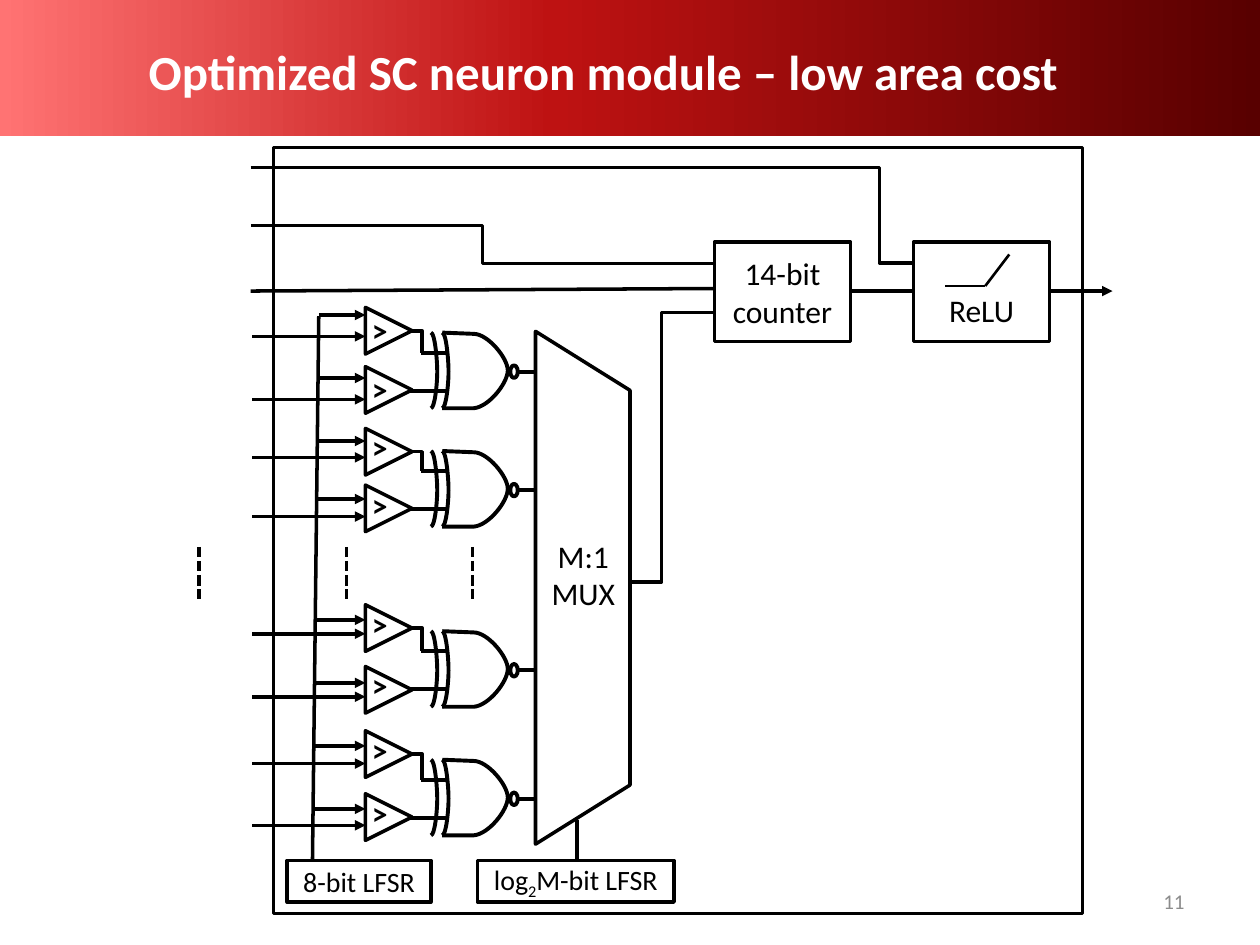
import pptx
import pptx.util
import pptx.dml.color
import pptx.enum.dml
import pptx.enum.shapes
import pptx.enum.text
import copy
import lxml.etree
import pptx.oxml.ns

INK = {"black": "000000", "white": "FFFFFF", "gray": "8C8C8C"}
FADE = [(0, "FF7373"), (0.44, "BE1212"), (1, "580000")]
TITLE = "Optimized SC neuron module – low area cost"
BOXES = [
    ("log_2_M-bit LFSR", (3.79, 6.83, 1.56, 0.33), 16, "MIDDLE"),
    ("8-bit LFSR", (2.28, 6.83, 1.14, 0.33), 16, "MIDDLE"),
    ("14-bit counter", (5.67, 1.92, 1.08, 0.79), 18, "MIDDLE"),
    ("ReLU", (7.25, 1.92, 1.08, 0.79), 18, "BOTTOM"),
]
CELLS = [
    {"gate": 2.64, "pair": [(2.44, 2.5, 2.67, 0.02), (2.91, 3.0, 3.17, 0.02)]},
    {"gate": 3.58, "pair": [(3.4, 3.5, 3.63, 0.05), (3.85, 3.96, 4.1, 0.04)]},
    {"gate": 5.01, "pair": [(4.8, 4.92, 5.03, 0.05), (5.29, 5.42, 5.53, 0.05)]},
    {"gate": 6.03, "pair": [(5.8, 5.92, 6.06, 0.05), (6.3, 6.42, 6.55, 0.05)]},
]
LINES = [
    ((4.58, 6.51), (4.58, 6.83), {}),
    ((5.67, 2.29), (1.99, 2.31), {}),
    ((6.75, 2.31), (7.25, 2.31), {}),
    ((8.33, 2.31), (8.83, 2.31), {"arrow": True}),
    ((7.5, 2.27), (7.82, 2.27), {"wide": 1.5}),
    ((7.82, 2.27), (8.01, 2.02), {"wide": 1.5}),
    ((1.99, 1.79), (5.67, 2.09), {"bend": [50]}),
    ((1.99, 1.33), (7.25, 2.09), {"bend": [94.9]}),
    ((5, 4.62), (5.67, 2.48), {"bend": [37.5, 49.6, 37.4]}),
]
DOTS = [1.58, 2.75, 3.75]
BUS = ((2.48, 6.83), (2.53, 2.51))
BODY = [(0, 0), (0.25, 0.01), (0.36, 0.01), (0.52, 0.2), (0.52, 0.3),
        (0.52, 0.4), (0.37, 0.59), (0.25, 0.6), (0, 0.6)]
ARC = [(0, 0.6), (0.03, 0.6), (0.05, 0.41), (0.05, 0.31),
       (0.05, 0.21), (0.03, 0), (0, 0)]
INPUT, COMP, SIDE, GATE = 2, 2.9, 0.37, 3.51

inch = pptx.util.Inches
kinds = pptx.enum.shapes.MSO_SHAPE
links = pptx.enum.shapes.MSO_CONNECTOR
name = pptx.oxml.ns.qn


def tint(key):
    return pptx.dml.color.RGBColor.from_string(INK.get(key, key))


def write(shape, text, size=18, color="black", bold=False, align="CENTER", anchor="TOP"):
    frame = shape.text_frame
    frame.word_wrap = True
    frame.vertical_anchor = pptx.enum.text.MSO_ANCHOR[anchor]
    for i, line in enumerate(text.split("\n")):
        para = frame.add_paragraph() if i else frame.paragraphs[0]
        para.alignment = pptx.enum.text.PP_ALIGN[align]
        for j, part in enumerate(line.split("_")):
            run = para.add_run()
            run.text = part
            font = run.font
            font.name, font.size, font.bold = "Calibri", pptx.util.Pt(size), bold
            font.color.rgb = tint(color)
            if j % 2:
                run._r.get_or_add_rPr().set("baseline", "-25000")
    return frame


def label(host, text, area, **form):
    return write(host.add_textbox(*map(inch, area)), text, **form)


def stroke(shape, wide=2):
    shape.line.color.rgb = tint("black")
    shape.line.width = pptx.util.Pt(wide)


def clear(shape, wide=2):
    shape.shadow.inherit = False
    shape.fill.background()
    stroke(shape, wide)
    return shape


def block(host, kind, area, wide=2, turn=0):
    shape = clear(host.add_shape(kind, *map(inch, area)), wide)
    shape.rotation = turn
    return shape


def wire(host, start, end, wide=2, arrow=False, dash=False, bend=None):
    kind = links.STRAIGHT if bend is None else links.ELBOW
    line = host.add_connector(kind, *map(inch, start + end))
    stroke(line, wide)
    props = line.element.spPr
    if bend is not None:
        props.prstGeom.set("prst", f"bentConnector{len(bend) + 2}")
        for i, share in enumerate(bend, 1):
            guide = lxml.etree.SubElement(props.prstGeom.get_or_add_avLst(), name("a:gd"))
            guide.set("name", f"adj{i}")
            guide.set("fmla", f"val {round(share * 1000)}")
    if dash:
        line.line.dash_style = pptx.enum.dml.MSO_LINE.SQUARE_DOT
    if arrow:
        tip = lxml.etree.SubElement(line.line._get_or_add_ln(), name("a:tailEnd"))
        tip.set("type", "triangle")
    lxml.etree.SubElement(props, name("a:effectLst"))


def trace(host, left, top, points, first):
    dots = [(inch(left + x), inch(top + y)) for x, y in points]
    pen = host.build_freeform(*dots[0], scale=1.0)
    pen.add_line_segments(dots[1:], close=False)
    shape = clear(pen.convert_to_shape(), 2.25)
    steps = list(shape.element.iter(name("a:lnTo")))
    for i in (first, first + 3):
        bow = lxml.etree.Element(name("a:cubicBezTo"))
        steps[i].addprevious(bow)
        for step in steps[i:i + 3]:
            bow.append(step[0])
            step.getparent().remove(step)


def gate(host, top):
    part = host.add_group_shape().shapes
    for y in (top + 0.46, top + 0.16):
        wire(part, (3.34, y), (3.56, y), wide=2.25)
    trace(part, GATE, top, BODY, 1)
    for left in (GATE, GATE - 0.09):
        trace(part, left, top, ARC, 0)
    wire(part, (4.11, top + 0.31), (4.25, top + 0.31), wide=2.25)
    block(part, kinds.OVAL, (4.05, top + 0.26, 0.06, 0.1), wide=2.25)


def compare(host, top, tap, feed, lift):
    part = host.add_group_shape().shapes
    block(part, kinds.ISOSCELES_TRIANGLE, (COMP, top, SIDE, SIDE), turn=90)
    label(part, ">", (COMP - 0.07, top - lift, SIDE, 0.31), bold=True)
    (x, y), (far, high) = BUS
    wire(host, (x + (far - x) * (y - tap) / (y - high), tap), (COMP, tap), arrow=True)
    wire(host, (INPUT, feed), (COMP, feed), arrow=True)


def head(slide):
    title = slide.shapes.title
    title.left, title.top, title.width, title.height = map(inch, (1.08, 0.17, 8.42, 0.78))
    write(title, TITLE, size=28, color="white", bold=True, align="LEFT", anchor="MIDDLE")
    band = slide.shapes.add_shape(kinds.RECTANGLE, 0, 0, inch(10), inch(1.08))
    band.shadow.inherit = False
    band.line.fill.background()
    band.fill.gradient()
    band.fill.gradient_angle = 0
    first = band.fill.gradient_stops[0]._gs
    first.addnext(copy.deepcopy(first))
    for stop, (place, color) in zip(band.fill.gradient_stops, FADE):
        stop.position, stop.color.rgb = place, tint(color)
    title.element.addprevious(band.element)


def main():
    deck = pptx.Presentation()
    deck.slide_width, deck.slide_height = inch(10), inch(7.5)
    slide = deck.slides.add_slide(deck.slide_layouts[5])
    host = slide.shapes
    head(slide)
    label(host, "11", (7.17, 6.95, 2.33, 0.4), size=12, color="gray", align="RIGHT", anchor="MIDDLE")
    block(host, kinds.RECTANGLE, (2.17, 1.17, 6.42, 6.08))
    mux = block(host, kinds.TRAPEZOID, (2.59, 4.29, 4.07, 0.75), turn=90)
    mux.adjustments[0] = 0.625
    label(host, "M:1\nMUX", (4.26, 4.21, 0.74, 0.71))
    for text, area, size, anchor in BOXES:
        frame = write(block(host, kinds.RECTANGLE, area), text, size=size, anchor=anchor)
        if anchor == "BOTTOM":
            frame.margin_bottom = inch(0.1)
    wire(host, *BUS)
    for start, end, form in LINES:
        wire(host, start, end, **form)
    for x in DOTS:
        wire(host, (x, 4.34), (x, 4.75), dash=True)
    for cell in CELLS:
        top = cell["gate"]
        gate(host, top)
        for row in cell["pair"]:
            compare(host, *row)
        tip = COMP + SIDE
        wire(host, (tip, cell["pair"][0][0] + SIDE / 2), (3.35, top + 0.16), bend=[])
        wire(host, (tip - 0.02, top + 0.46), (3.38, top + 0.46), wide=2.25)
    deck.save("out.pptx")


if __name__ == "__main__":
    main()
